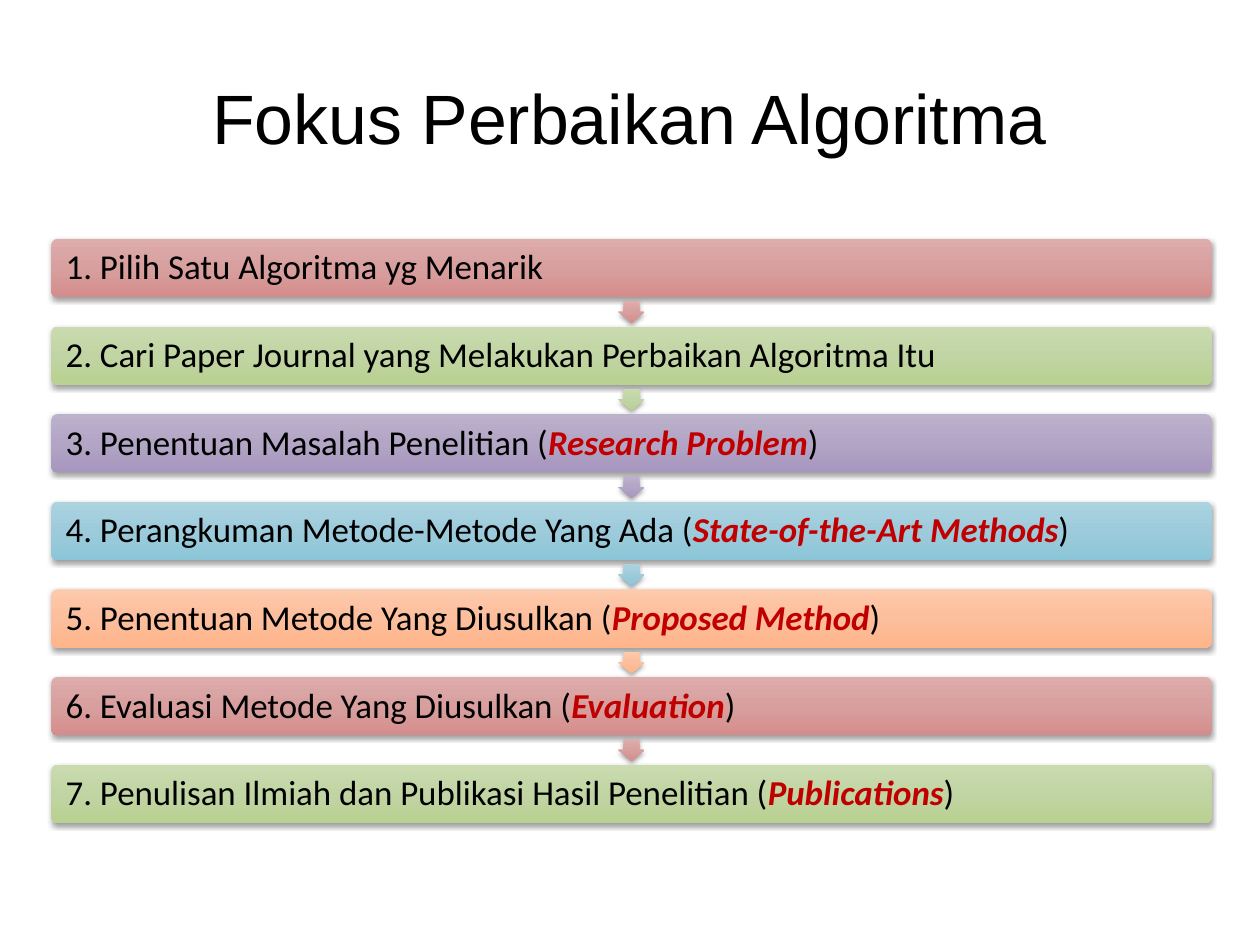
from copy import deepcopy
from itertools import cycle

from pptx import Presentation
from pptx.dml.color import RGBColor
from pptx.enum.shapes import MSO_SHAPE
from pptx.enum.text import MSO_ANCHOR, PP_ALIGN
from pptx.oxml import parse_xml
from pptx.oxml.ns import nsdecls
from pptx.util import Inches, Pt

BLACK = RGBColor(0x00, 0x00, 0x00)
DARK_RED = RGBColor(0xC0, 0x00, 0x00)
ROSE = [RGBColor.from_string(c) for c in ("DDADAC", "D79F9E", "D58D8C")]
GREEN = [RGBColor.from_string(c) for c in ("CADCAF", "C1D4A3", "B9D192")]
PURPLE = [RGBColor.from_string(c) for c in ("BCB2CC", "B2A5C5", "A796BE")]
BLUE = [RGBColor.from_string(c) for c in ("ABD3E0", "9DCBDB", "8BC6D8")]
ORANGE = [RGBColor.from_string(c) for c in ("FECAAC", "FCBE9C", "FFB58A")]

STEPS = [
    ("Pilih Satu Algoritma yg Menarik", ""),
    ("Cari Paper Journal yang Melakukan Perbaikan Algoritma Itu", ""),
    ("Penentuan Masalah Penelitian", "Research Problem"),
    ("Perangkuman Metode-Metode Yang Ada", "State-of-the-Art Methods"),
    ("Penentuan Metode Yang Diusulkan", "Proposed Method"),
    ("Evaluasi Metode Yang Diusulkan", "Evaluation"),
    ("Penulisan Ilmiah dan Publikasi Hasil Penelitian", "Publications"),
]
SHADOW = (
    f'<a:effectLst {nsdecls("a")}><a:outerShdw blurRad="39370" dist="20320" '
    'dir="5400000" rotWithShape="0"><a:srgbClr val="000000">'
    '<a:alpha val="38000"/></a:srgbClr></a:outerShdw></a:effectLst>'
)

CM_PER_INCH = 2.54
BAR_LEFT, BAR_TOP, BAR_W, BAR_H = 0.45, 2.09, 10.15, 0.51
PITCH = 4.6 / 6
ARROW_W, ARROW_H = 0.19, 0.23


def add_step_shape(kind, left, top, width, height, colors):
    """Add a borderless shape with a top-down gradient and a soft shadow."""
    sp = s.shapes.add_shape(kind, Inches(left), Inches(top),
                            Inches(width), Inches(height))
    sp.fill.gradient()
    sp.fill.gradient_angle = 270
    grad = sp._element.spPr.gradFill
    grad.set("rotWithShape", "0")
    grad.gsLst[0].addnext(deepcopy(grad.gsLst[0]))
    for stop, position, color in zip(sp.fill.gradient_stops, (0, 0.5, 1), colors):
        stop.position = position
        stop.color.rgb = color
    sp.line.fill.background()
    sp._element.spPr.append(parse_xml(SHADOW))
    return sp


def add_run(p, text, size, font, color, emphasis=False):
    """Add a formatted run; emphasis makes it bold italic."""
    r = p.add_run()
    r.text = text
    r.font.size = Pt(size)
    r.font.name = font
    r.font.color.rgb = color
    r.font.bold = r.font.italic = emphasis


prs = Presentation()
prs.slide_width = Inches(28 / CM_PER_INCH)
prs.slide_height = Inches(21 / CM_PER_INCH)
s = prs.slides.add_slide(prs.slide_layouts[5])

title = s.shapes.title
title.left, title.top = Inches(0.55), Inches(0.33)
title.width, title.height = Inches(9.92), Inches(1.38)
tf = title.text_frame
tf.margin_left = tf.margin_top = tf.margin_right = tf.margin_bottom = 0
tf.vertical_anchor = MSO_ANCHOR.MIDDLE
tf.paragraphs[0].alignment = PP_ALIGN.CENTER
add_run(tf.paragraphs[0], "Fokus Perbaikan Algoritma", 44, "Arial", BLACK)

palette = cycle([ROSE, GREEN, PURPLE, BLUE, ORANGE])
for i, ((step, term), colors) in enumerate(zip(STEPS, palette)):
    top = BAR_TOP + i * PITCH
    bar = add_step_shape(MSO_SHAPE.ROUNDED_RECTANGLE, BAR_LEFT, top,
                         BAR_W, BAR_H, colors)
    bar.adjustments[0] = 0.1
    tf = bar.text_frame
    tf.word_wrap = True
    tf.vertical_anchor = MSO_ANCHOR.MIDDLE
    tf.margin_left = tf.margin_top = Inches(0.11)
    tf.margin_right, tf.margin_bottom = Inches(0.09), Inches(0.1)
    p = tf.paragraphs[0]
    p.alignment = PP_ALIGN.LEFT
    p.line_spacing = 0.9
    p.space_after = Pt(7.7)
    opening = " (" if term else ""
    add_run(p, f"{i + 1}. {step}{opening}", 22, "Calibri", BLACK)
    if term:
        add_run(p, term, 22, "Calibri", DARK_RED, emphasis=True)
        add_run(p, ")", 22, "Calibri", BLACK)

    if i < len(STEPS) - 1:
        arrow = add_step_shape(
            MSO_SHAPE.RIGHT_ARROW, BAR_LEFT + (BAR_W - ARROW_W) / 2,
            top + (BAR_H + PITCH - ARROW_H) / 2, ARROW_W, ARROW_H, colors)
        arrow.rotation = 90
        arrow.adjustments[0] = 0.6
        arrow.adjustments[1] = 0.5

prs.save("out.pptx")
